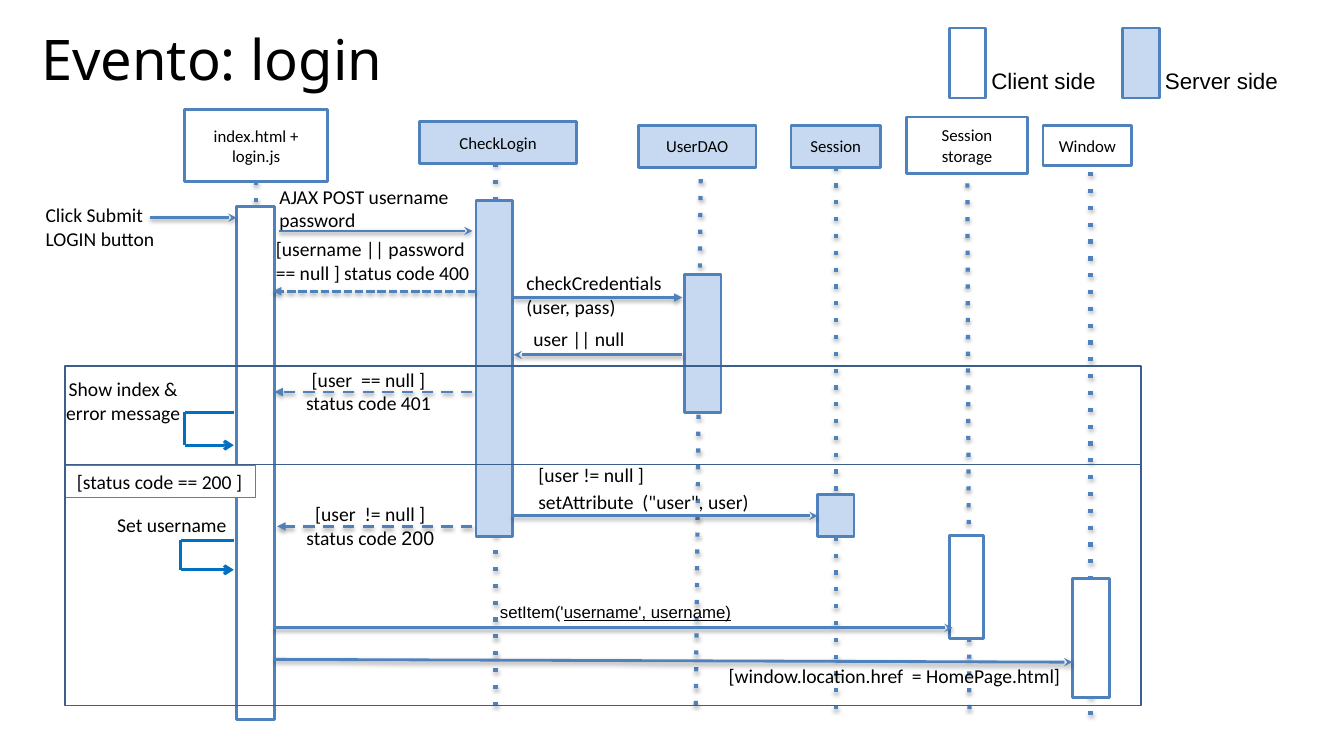
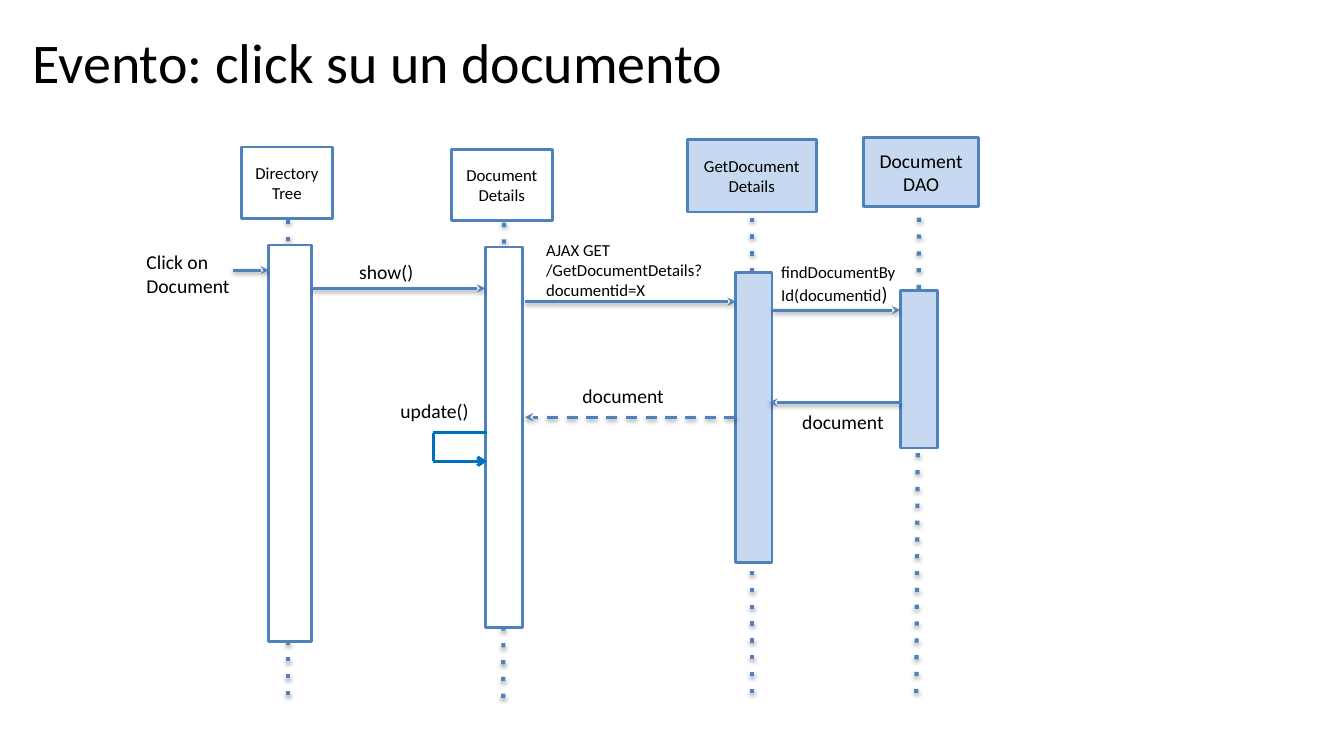
from dataclasses import dataclass
from typing import Optional

from lxml.etree import SubElement
from pptx import Presentation
from pptx.dml.color import RGBColor
from pptx.enum.shapes import MSO_CONNECTOR, MSO_SHAPE
from pptx.enum.text import MSO_ANCHOR, MSO_AUTO_SIZE, PP_ALIGN
from pptx.oxml.ns import qn
from pptx.util import Pt

Box = tuple[float, float, float, float]


# Colours, fonts and sizes
@dataclass(frozen=True)
class Theme:
    black: str = "000000"
    white: str = "FFFFFF"
    server: str = "C6D9F1"
    blue: str = "4F81BD"
    loop: str = "0070C0"
    frame: str = "3A5F8C"
    body: str = "Calibri"
    sans: str = "Arial"
    title: float = 40
    legend: float = 16
    label: float = 14
    small: float = 12
    stroke: float = 2
    dots: float = 3
    bend: float = 2.25


THEME = Theme()


# Parts of a sequence diagram
@dataclass(frozen=True)
class Actor:
    name: str
    head: Box
    life: Box  # x1, y1, x2, y2
    bar: Box
    server: bool = False
    size: float = THEME.small


@dataclass(frozen=True)
class Message:
    start: float
    end: float
    y: float
    dash: str = "solid"
    tip: str = "stealth"
    drop: float = 0


@dataclass(frozen=True)
class Tail:
    text: str
    font: str = THEME.body
    size: float = THEME.label
    under: bool = False


@dataclass(frozen=True)
class Label:
    text: str
    box: Box
    size: float = THEME.label
    font: str = THEME.body
    mid: bool = False
    wrap: bool = True
    gap: float = 0
    inset: float = 4
    tail: Optional[Tail] = None


@dataclass(frozen=True)
class Loop:
    right: float
    left: float
    top: float
    base: float


@dataclass(frozen=True)
class Panel:
    box: Box
    fill: Optional[str] = None
    line: str = THEME.frame
    width: float = 1


@dataclass(frozen=True)
class Scene:
    title: Label
    actors: list[Actor]
    calls: list[Message]
    labels: list[Label]
    loops: list[Loop]
    panels: list[Panel]


# Drawing
def write(frame, label: Label) -> None:
    frame.word_wrap = label.wrap
    side, edge = (9, label.inset) if label.wrap else (7.2, 3.6)
    frame.margin_left = frame.margin_right = Pt(side)
    frame.margin_top = frame.margin_bottom = Pt(edge)
    if not label.wrap:
        frame.auto_size = MSO_AUTO_SIZE.SHAPE_TO_FIT_TEXT
    frame.text = label.text
    for para in frame.paragraphs:
        para.alignment = PP_ALIGN.CENTER if label.mid else PP_ALIGN.LEFT
        para.space_after = Pt(label.gap)
        para.font.name = label.font
        para.font.size = Pt(label.size)
        para.font.color.rgb = RGBColor.from_string(THEME.black)
    if label.tail:
        run = frame.paragraphs[-1].add_run()
        run.text = label.tail.text
        run.font.name = label.tail.font
        run.font.size = Pt(label.tail.size)
        run.font.underline = label.tail.under or None


def note(slide, label: Label):
    frame = slide.shapes.add_textbox(*map(Pt, label.box)).text_frame
    write(frame, label)
    return frame


def rect(slide, panel: Panel):
    shape = slide.shapes.add_shape(MSO_SHAPE.RECTANGLE, *map(Pt, panel.box))
    shape.shadow.inherit = False
    if panel.fill:
        shape.fill.solid()
        shape.fill.fore_color.rgb = RGBColor.from_string(panel.fill)
    else:
        shape.fill.background()
    shape.line.color.rgb = RGBColor.from_string(panel.line)
    shape.line.width = Pt(panel.width)
    return shape


def block(slide, box: Box, server: bool):
    fill = THEME.server if server else THEME.white
    return rect(slide, Panel(box, fill, THEME.blue, THEME.stroke))


def stroke(slide, ends: Box, color: str, width: float, dash: str = "solid",
           tip: str = "none", shade: bool = True) -> None:
    line = slide.shapes.add_connector(MSO_CONNECTOR.STRAIGHT, *map(Pt, ends))
    line.line.color.rgb = RGBColor.from_string(color)
    line.line.width = Pt(width)
    props = line.element.spPr
    pen = props.find(qn("a:ln"))
    SubElement(pen, qn("a:prstDash"), val=dash)
    SubElement(pen, qn("a:tailEnd"), type=tip)
    effect = SubElement(props, qn("a:effectLst"))
    if shade:
        cast = SubElement(effect, qn("a:outerShdw"), blurRad=str(Pt(3.1)),
                          dist=str(Pt(1.7)), dir="5400000", rotWithShape="0")
        tint = SubElement(cast, qn("a:srgbClr"), val=THEME.black)
        SubElement(tint, qn("a:alpha"), val="36000")


def bend(slide, loop: Loop) -> None:
    right, left, top, base = loop.right, loop.left, loop.top, loop.base
    sides = [((right, top, left, top), "none"),
             ((left, top, left, base), "none"),
             ((left, base, right, base), "arrow")]
    for ends, tip in sides:
        stroke(slide, ends, THEME.loop, THEME.bend, tip=tip, shade=False)


def draw(slide, scene: Scene) -> None:
    note(slide, scene.title).vertical_anchor = MSO_ANCHOR.MIDDLE
    for actor in scene.actors:
        stroke(slide, actor.life, THEME.blue, THEME.dots, "dot")
        head = block(slide, actor.head, actor.server).text_frame
        write(head, Label(actor.name, actor.head, actor.size, mid=True))
        head.vertical_anchor = MSO_ANCHOR.MIDDLE
        block(slide, actor.bar, actor.server)
    for call in scene.calls:
        ends = (call.start, call.y, call.end, call.y + call.drop)
        stroke(slide, ends, THEME.blue, THEME.stroke, call.dash, call.tip)
    for panel in scene.panels:
        rect(slide, panel)
    for label in scene.labels:
        note(slide, label)
    for loop in scene.loops:
        bend(slide, loop)


def legend(slide) -> None:
    for text, left, width, server in [("Client side", 678, 94, False),
                                      ("Server side", 802, 101, True)]:
        block(slide, (left, 20, 26, 50), server)
        note(slide, Label(text, (left + 23, 44.5, width, 27), THEME.legend,
                          THEME.sans, wrap=False))


# Slide content
LOGIN = Scene(
    Label("Evento: login", (19.5, 21, 263.5, 41), THEME.title, "Noto Sans", True),
    [
        Actor("index.html + login.js", (132, 78.5, 102, 51),
              (183, 129.5, 183, 478), (169, 147.5, 27, 366.5)),
        Actor("CheckLogin", (299.5, 87, 112.5, 30),
              (354, 116.5, 354, 504), (340, 143.5, 26, 239.5), True),
        Actor("UserDAO", (456, 89.5, 84, 30),
              (500.5, 128, 497, 506), (489, 196, 26, 98.5), True),
        Actor("Session", (565, 89.5, 64, 30),
              (597, 119, 597, 513.5), (584, 353.5, 26, 30), True),
        Actor("Session storage", (647.5, 83.5, 86.5, 40.5),
              (691, 131, 692.5, 513.5), (678, 382.5, 24.5, 73.5)),
        Actor("Window", (745, 89.5, 63.5, 29),
              (779, 123, 779, 513.5), (766, 413.5, 26.5, 85)),
    ],
    [
        Message(107.5, 169, 155.5),
        Message(199.5, 337.5, 165),
        Message(340, 195, 208, "sysDash", "triangle"),
        Message(367, 487.5, 212.5, tip="triangle"),
        Message(487.5, 367, 253.5),
        Message(337.5, 196, 280, "dash", "triangle"),
        Message(366, 584, 368.5),
        Message(337.5, 198, 376, "dash", "triangle"),
        Message(196, 680.5, 448.5),
        Message(196, 766, 471, drop=2),
    ],
    [
        Label("Click Submit LOGIN button", (23.5, 141, 98, 47)),
        Label("AJAX POST username password", (190.5, 128, 144, 49)),
        Label("[username || password == null ] status code 400",
              (188, 165.5, 160.5, 37)),
        Label("checkCredentials (user, pass)", (367, 189.5, 119, 38)),
        Label("user || null", (372, 229.5, 97, 29)),
        Label("[user  == null ]\nstatus code 401", (204.5, 258.5, 117.5, 37), mid=True),
        Label("Show index & error message", (36, 265.5, 104, 44.5), mid=True),
        Label("[status code == 200 ]", (39, 332, 150, 23), mid=True),
        Label("[user != null ]\nsetAttribute  (\"user\", user)",
              (375.5, 327, 265.5, 45), gap=2),
        Label("[user  != null ]\nstatus code ", (204.5, 354.5, 120, 51), mid=True,
              tail=Tail("200", THEME.sans)),
        Label("Set username", (73.5, 366.5, 98.5, 19.5), mid=True, inset=0),
        Label("setItem('", (350, 426, 181, 22), THEME.small, THEME.sans, wrap=False,
              tail=Tail("username', username)", THEME.sans, THEME.small, True)),
        Label("[window.location.href  = HomePage.html]",
              (504, 470, 270, 24), mid=True),
    ],
    [Loop(167, 132, 294.5, 318), Loop(167, 129, 386, 407)],
    [
        Panel((46.5, 332, 136, 23), THEME.white, THEME.blue, 0.25),
        Panel((46.5, 261.5, 768.5, 70.5)),
        Panel((46.5, 332, 768.5, 172)),
    ],
)

CLICK = Scene(
    Label("Evento: click su un documento", (9.5, 13.5, 520.5, 60), THEME.title, mid=True),
    [
        Actor("Directory Tree", (172.5, 105, 65, 51),
              (206, 157, 206, 505.5), (192, 175, 30.5, 283.5)),
        Actor("Document\vDetails", (322.5, 106.5, 72, 51),
              (360, 159, 359.5, 505.5), (346.5, 176.5, 26.5, 271.5)),
        Actor("GetDocumentDetails", (491, 99.5, 92, 52),
              (537, 155.5, 537, 498), (525.5, 194.5, 26, 207.5), True),
        Actor("DocumentDAO", (617, 98.5, 82, 49),
              (656.5, 155.5, 654.5, 498), (643.5, 207.5, 26, 112.5), True,
              THEME.label),
    ],
    [
        Message(166.5, 192, 193),
        Message(223, 346.5, 206),
        Message(375, 525.5, 215.5),
        Message(552, 643, 221.5),
        Message(643.5, 549.5, 287.5),
        Message(525.5, 375, 298, "dash"),
    ],
    [
        Label("Click on Document", (95.5, 174.5, 82, 35)),
        Label("show()", (247.5, 181.5, 81.5, 21.5)),
        Label("AJAX GET\n/GetDocumentDetails?documentid=X",
              (381, 167, 132, 48), THEME.small),
        Label("findDocumentById(documentid", (549, 183, 100, 47), THEME.small,
              tail=Tail(")")),
        Label("update()", (277, 281, 73.5, 21)),
        Label("document", (407, 270.5, 84, 24.5)),
        Label("document", (564, 288.5, 84, 24.5)),
    ],
    [Loop(348, 309.5, 309, 329.5)],
    [],
)


def main() -> None:
    deck = Presentation()
    deck.slide_width, deck.slide_height = Pt(960), Pt(540)
    blank = deck.slide_layouts[6]
    first, second = (deck.slides.add_slide(blank) for _ in range(2))
    draw(first, LOGIN)
    legend(first)
    draw(second, CLICK)
    deck.save("out.pptx")


if __name__ == "__main__":
    main()
